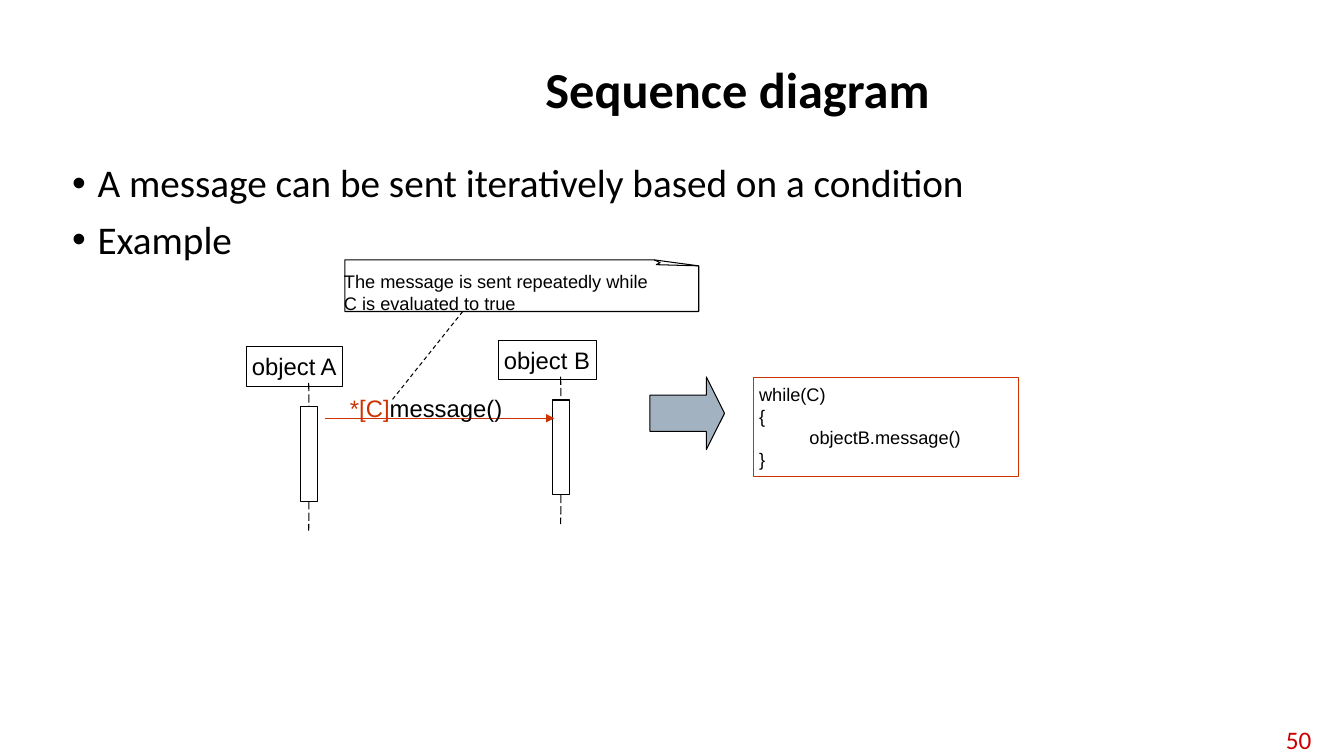
from dataclasses import dataclass

from lxml import etree
from pptx import Presentation
from pptx.dml.color import RGBColor
from pptx.enum.dml import MSO_LINE
from pptx.enum.shapes import MSO_CONNECTOR, MSO_SHAPE
from pptx.enum.text import MSO_ANCHOR, MSO_AUTO_SIZE, PP_ALIGN
from pptx.oxml.ns import qn
from pptx.util import Cm, Pt

STRAIGHT = MSO_CONNECTOR.STRAIGHT
RECTANGLE, RIGHT_ARROW = MSO_SHAPE.RECTANGLE, MSO_SHAPE.RIGHT_ARROW
DASH, LONG_DASH = MSO_LINE.DASH, MSO_LINE.LONG_DASH
LEFT, CENTER, RIGHT = PP_ALIGN.LEFT, PP_ALIGN.CENTER, PP_ALIGN.RIGHT
TOP, MIDDLE = MSO_ANCHOR.TOP, MSO_ANCHOR.MIDDLE
SIDE_TOP, SIDE_BOTTOM = 0, 2


@dataclass(frozen=True)
class Theme:
    ink: RGBColor = RGBColor(0x00, 0x00, 0x00)
    accent: RGBColor = RGBColor(0xCC, 0x33, 0x00)
    number: RGBColor = RGBColor(0xCC, 0x00, 0x00)
    arrow: RGBColor = RGBColor(0xA3, 0xB2, 0xC1)
    text_font: str = "Calibri"
    diagram_font: str = "Arial"
    title_size: float = 36
    body_size: float = 28
    number_size: float = 18
    label_size: float = 17
    code_size: float = 13
    line_width: float = 0.75


THEME = Theme()


# Text helpers
def add_span(para, text, font, size, color=THEME.ink, bold=False):
    span = para.add_run()
    span.text = text
    span.font.name = font
    span.font.size = Pt(size)
    span.font.bold = bold
    span.font.color.rgb = color


def add_para(frame, index, align=LEFT):
    para = frame.paragraphs[0] if index == 0 else frame.add_paragraph()
    para.alignment = align
    return para


def add_text_box(page, left, top, width, height, anchor=TOP):
    box = page.shapes.add_textbox(Cm(left), Cm(top), Cm(width), Cm(height))
    box.text_frame.word_wrap = True
    box.text_frame.vertical_anchor = anchor
    return box


def fill_label(box, lines, size):
    """Write lines of (text, color) spans into a tight diagram box."""
    frame = box.text_frame
    frame.margin_left = frame.margin_right = Cm(0.13)
    frame.margin_top = frame.margin_bottom = Cm(0.13)
    frame.word_wrap = False
    frame.auto_size = MSO_AUTO_SIZE.SHAPE_TO_FIT_TEXT
    frame.vertical_anchor = TOP
    for index, spans in enumerate(lines):
        para = add_para(frame, index)
        for text, color in spans:
            add_span(para, text, THEME.diagram_font, size, color)


# Shape helpers
def style_outline(shape, color=THEME.ink, fill=None):
    shape.shadow.inherit = False
    if fill is None:
        shape.fill.background()
    else:
        shape.fill.solid()
        shape.fill.fore_color.rgb = fill
    shape.line.color.rgb = color
    shape.line.width = Pt(THEME.line_width)


def add_box(page, left, top, width, height, kind=RECTANGLE, color=THEME.ink, fill=None):
    box = page.shapes.add_shape(kind, Cm(left), Cm(top), Cm(width), Cm(height))
    style_outline(box, color, fill)
    return box


def add_line(page, start, end, color=THEME.ink, dash=None, arrow=False):
    line = page.shapes.add_connector(STRAIGHT, *(Cm(value) for value in (*start, *end)))
    line.line.color.rgb = color
    line.line.width = Pt(THEME.line_width)
    if dash is not None:
        line.line.dash_style = dash
    if arrow:
        etree.SubElement(line.line._get_or_add_ln(), qn("a:tailEnd"), type="triangle")
    etree.SubElement(line._element.spPr, qn("a:effectLst"))
    return line


def add_outline(page, points, close):
    points = [(Cm(x), Cm(y)) for x, y in points]
    builder = page.shapes.build_freeform(*points[0])
    builder.add_line_segments(points[1:], close=close)
    style_outline(builder.convert_to_shape())


# Slide regions
def add_title(page, left, top, width, height):
    box = add_text_box(page, left, top, width, height, MIDDLE)
    para = add_para(box.text_frame, 0, CENTER)
    para.line_spacing = 0.9
    add_span(para, "Sequence diagram", THEME.text_font, THEME.title_size, bold=True)


def add_bullets(page, left, top, width, height):
    frame = add_text_box(page, left, top, width, height).text_frame
    texts = ("A message can be sent iteratively based on a condition", "Example")
    for index, text in enumerate(texts):
        para = add_para(frame, index)
        para.line_spacing = 0.9
        if index:
            para.space_before = Pt(10)
        props = para._p.get_or_add_pPr()
        props.set("marL", str(Cm(0.64)))
        props.set("indent", str(-Cm(0.64)))
        etree.SubElement(props, qn("a:buFont"), typeface="Arial")
        etree.SubElement(props, qn("a:buChar"), char="•")
        add_span(para, text, THEME.text_font, THEME.body_size)


def add_page_number(page, left, top, width, height):
    box = add_text_box(page, left, top, width, height, MIDDLE)
    para = add_para(box.text_frame, 0, RIGHT)
    add_span(para, "50", THEME.text_font, THEME.number_size, THEME.number)


def add_note(page, left, top, width, height):
    right, bottom = left + width, top + height
    fold_x, fold_y = right - 1.12, top + 0.15
    add_outline(page, [(left, bottom), (right, bottom), (right, fold_y),
                       (fold_x, top), (left, top)], close=True)
    add_outline(page, [(right, fold_y), (fold_x + 0.05, top + 0.12),
                       (fold_x + 0.15, top + 0.07), (fold_x, top)], close=False)
    text = add_text_box(page, left - 0.15, top + 0.13, 8.03, 1.37)
    fill_label(text, [[("The message is sent repeatedly while", THEME.ink)],
                      [("C is evaluated to true", THEME.ink)]], THEME.code_size)


def add_lifeline(page, left, top, width, name):
    head = add_box(page, left, top, width, 0.99)
    fill_label(head, [[(name, THEME.ink)]], THEME.label_size)
    bar = add_box(page, left + 1.35, top + 1.5, 0.43, 2.39)
    middle, bar_top, bar_bottom = left + 1.56, top + 1.5, top + 3.89
    upper = add_line(page, (middle, top + 0.91), (middle, bar_top), dash=LONG_DASH)
    upper.end_connect(bar, SIDE_TOP)
    lower = add_line(page, (middle, bar_bottom), (middle, bar_bottom + 0.74), dash=LONG_DASH)
    lower.begin_connect(bar, SIDE_BOTTOM)


def add_message(page, left, top, width):
    add_line(page, (left, top), (left + width, top), THEME.accent, arrow=True)
    label = add_text_box(page, left + 0.51, top - 0.76, 4.14, 0.99)
    fill_label(label, [[("*[C]", THEME.accent), ("message()", THEME.ink)]], THEME.label_size)


def add_code(page, left, top, width, height):
    box = add_box(page, left, top, width, height, color=THEME.accent)
    code = ("while(C)", "{", "\tobjectB.message()", "}")
    fill_label(box, [[(text, THEME.ink)] for text in code], THEME.code_size)


def add_diagram(page, left, top):
    add_note(page, left + 2.47, top, 8.92, 1.3)
    add_line(page, (left + 5.44, top + 1.3), (left + 3.66, top + 3.53), dash=DASH)
    add_lifeline(page, left, top + 2.19, 2.41, "object A")
    add_lifeline(page, left + 6.35, top + 2.03, 2.46, "object B")
    add_message(page, left + 1.96, top + 3.99, 5.79)
    arrow = add_box(page, left + 10.16, top + 2.95, 1.88, 1.83, RIGHT_ARROW, fill=THEME.arrow)
    arrow.adjustments[0], arrow.adjustments[1] = 0.5, 0.25
    add_code(page, left + 12.78, top + 2.97, 6.68, 2.49)


def main():
    deck = Presentation()
    deck.slide_width, deck.slide_height = Cm(33.87), Cm(19.05)
    page = deck.slides.add_slide(deck.slide_layouts[6])
    add_page_number(page, 31.55, 18.19, 1.75, 0.91)
    add_title(page, 5.66, 1.02, 25.86, 2.59)
    add_bullets(page, 1.57, 4.01, 29.97, 13.13)
    add_diagram(page, 6.22, 6.55)
    deck.save("out.pptx")


if __name__ == "__main__":
    main()
